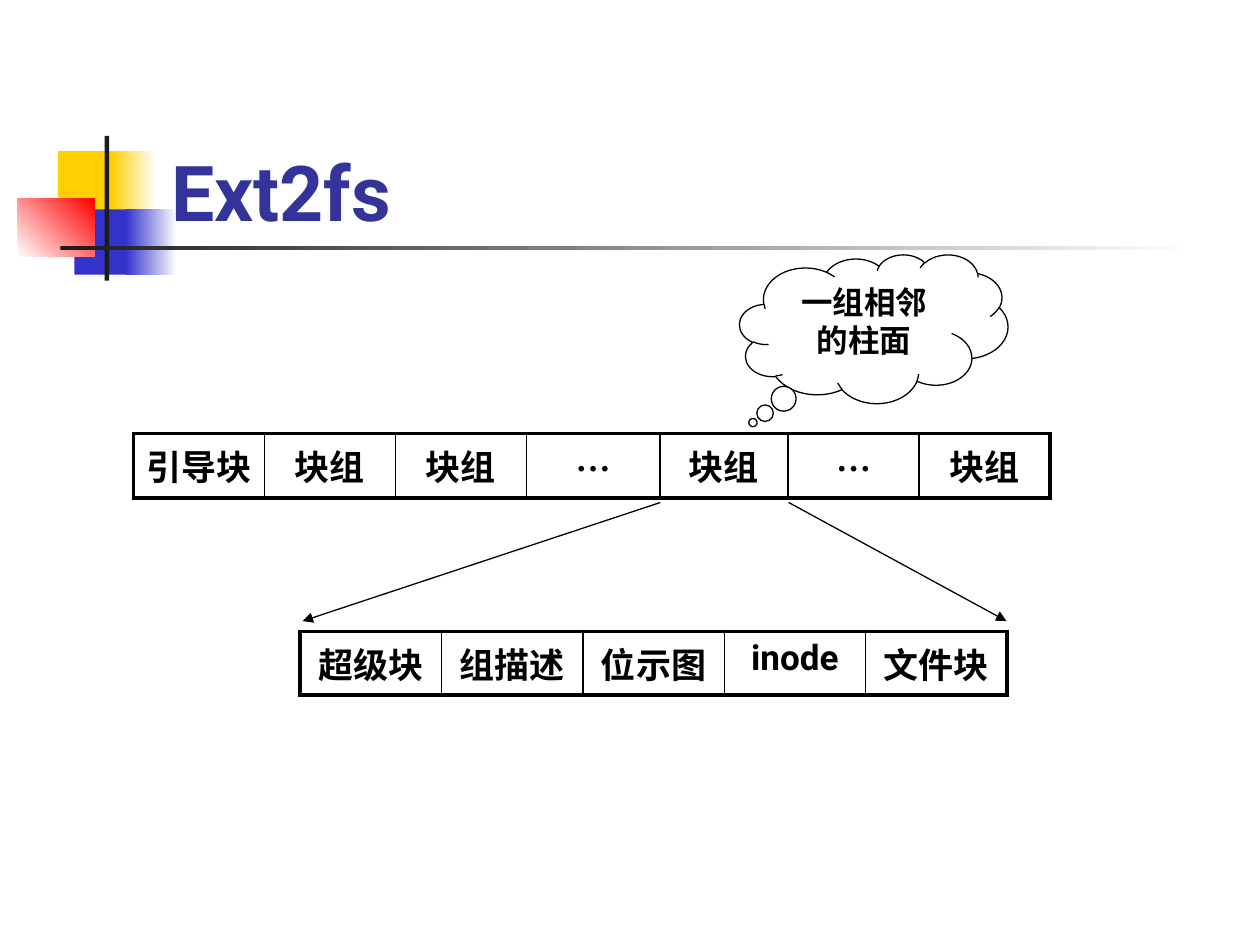
from lxml.etree import SubElement
from pptx import Presentation
from pptx.dml.color import RGBColor
from pptx.enum.shapes import MSO_CONNECTOR, MSO_SHAPE
from pptx.enum.text import MSO_ANCHOR, PP_ALIGN
from pptx.oxml.ns import qn
from pptx.util import Cm, Pt

HUES = {
    "gold": "FFCF01",
    "blue": "3333CC",
    "red": "FF0000",
    "dark": "1C1C1C",
    "white": "FFFFFF",
    "black": "000000",
    "title": "333399",
}


def rgb(name):
    """Return the named colour."""
    return RGBColor.from_string(HUES[name])


def style(para, size, font, hue="black"):
    """Format the runs of a paragraph in bold."""
    for run in para.runs:
        run.font.size = Pt(size)
        run.font.name = font
        run.font.bold = True
        run.font.color.rgb = rgb(hue)


def add_block(slide, box, first, last=None, angle=0):
    """Add a borderless rectangle, plain or fading between two colours."""
    block = slide.shapes.add_shape(MSO_SHAPE.RECTANGLE, *map(Cm, box))
    block.shadow.inherit = False
    block.line.fill.background()
    if last is None:
        block.fill.solid()
        block.fill.fore_color.rgb = rgb(first)
        return
    block.fill.gradient()
    block.fill.gradient_angle = angle
    for stop, hue, place in zip(block.fill.gradient_stops, (first, last), (0, 1)):
        stop.color.rgb = rgb(hue)
        stop.position = place


def add_edge(cell, side, width):
    """Draw one solid black border of a cell."""
    props = cell._tc.get_or_add_tcPr()
    edge = SubElement(props, qn(f"a:ln{side}"), w=str(Pt(width)))
    fill = SubElement(edge, qn("a:solidFill"))
    SubElement(fill, qn("a:srgbClr"), val=HUES["black"])


def add_strip(slide, left, top, height, widths, words):
    """Add a one-row table with a thick frame and thin dividers."""
    count = len(words)
    frame = slide.shapes.add_table(
        1, count, Cm(left), Cm(top), Cm(sum(widths)), Cm(height))
    table = frame.table
    table.first_row = table.horz_banding = False
    table.rows[0].height = Cm(height)
    for i, (word, width) in enumerate(zip(words, widths)):
        table.columns[i].width = Cm(width)
        cell = table.cell(0, i)
        add_edge(cell, "L", 2.25 if i == 0 else 1)
        add_edge(cell, "R", 2.25 if i == count - 1 else 1)
        add_edge(cell, "T", 2.25)
        add_edge(cell, "B", 2.25)
        cell.fill.background()
        para = cell.text_frame.paragraphs[0]
        para.text = word
        para.alignment = PP_ALIGN.CENTER
        space = SubElement(para._p.get_or_add_pPr(), qn("a:spcBef"))
        SubElement(space, qn("a:spcPct"), val="20000")
        style(para, 20, "Times New Roman" if word == "…" else "Roboto")


def add_arrow(slide, start, end):
    """Add a thin black arrow."""
    arrow = slide.shapes.add_connector(
        MSO_CONNECTOR.STRAIGHT, *map(Cm, start + end))
    arrow.line.width = Pt(0.75)
    arrow.line.color.rgb = rgb("black")
    SubElement(arrow.line._get_or_add_ln(), qn("a:tailEnd"), type="triangle")
    SubElement(arrow._element.spPr, qn("a:effectLst"))


def add_title(slide, box, text):
    """Add the heading, set at the bottom of its box."""
    frame = slide.shapes.add_textbox(*map(Cm, box)).text_frame
    frame.word_wrap = True
    frame.vertical_anchor = MSO_ANCHOR.BOTTOM
    frame.text = text
    style(frame.paragraphs[0], 44, "Roboto", "title")


def add_cloud(slide, box, text):
    """Add a thought cloud that points down to the left."""
    cloud = slide.shapes.add_shape(MSO_SHAPE.CLOUD_CALLOUT, *map(Cm, box))
    cloud.adjustments[0] = -0.45
    cloud.adjustments[1] = 0.63
    cloud.shadow.inherit = False
    cloud.fill.solid()
    cloud.fill.fore_color.rgb = rgb("white")
    cloud.line.color.rgb = rgb("black")
    cloud.line.width = Pt(0.75)
    frame = cloud.text_frame
    frame.word_wrap = True
    frame.vertical_anchor = MSO_ANCHOR.TOP
    frame.text = text
    frame.paragraphs[0].alignment = PP_ALIGN.CENTER
    style(frame.paragraphs[0], 18, "Arial")


def main():
    """Build the slide on the Ext2fs disk layout."""
    deck = Presentation()
    deck.slide_width, deck.slide_height = Cm(25.4), Cm(19.05)
    slide = deck.slides.add_slide(deck.slide_layouts[6])

    add_block(slide, (1.17, 3.05, 1.22, 1.32), "gold")
    add_block(slide, (2.24, 3.05, 0.91, 1.32), "gold", "white")
    add_block(slide, (1.5, 4.22, 1.17, 1.32), "blue")
    add_block(slide, (2.54, 4.22, 1.02, 1.32), "blue", "white")
    add_block(slide, (0.36, 4.01, 1.55, 1.17), "white", "red", 45)
    add_block(slide, (2.11, 2.74, 0.09, 2.92), "dark")
    add_block(slide, (1.22, 4.95, 22.86, 0.09), "dark", "white")

    add_strip(slide, 2.69, 8.74, 1.3,
              [2.64, 2.64, 2.64, 2.69, 2.59, 2.64, 2.64],
              ["引导块", "块组", "块组", "…", "块组", "…", "块组"])
    add_strip(slide, 6.05, 12.73, 1.19, [2.85] * 5,
              ["超级块", "组描述", "位示图", "inode", "文件块"])

    left, right = (13.31, 10.13), (15.9, 10.13)
    add_arrow(slide, left, left)
    add_arrow(slide, left, (6.1, 12.52))
    add_arrow(slide, right, (20.29, 12.52))

    add_title(slide, (3.2, 1.73, 21.64, 3.18), "Ext2fs")
    add_cloud(slide, (14.91, 5.13, 5.41, 3), "一组相邻的柱面")
    deck.save("out.pptx")


if __name__ == "__main__":
    main()
